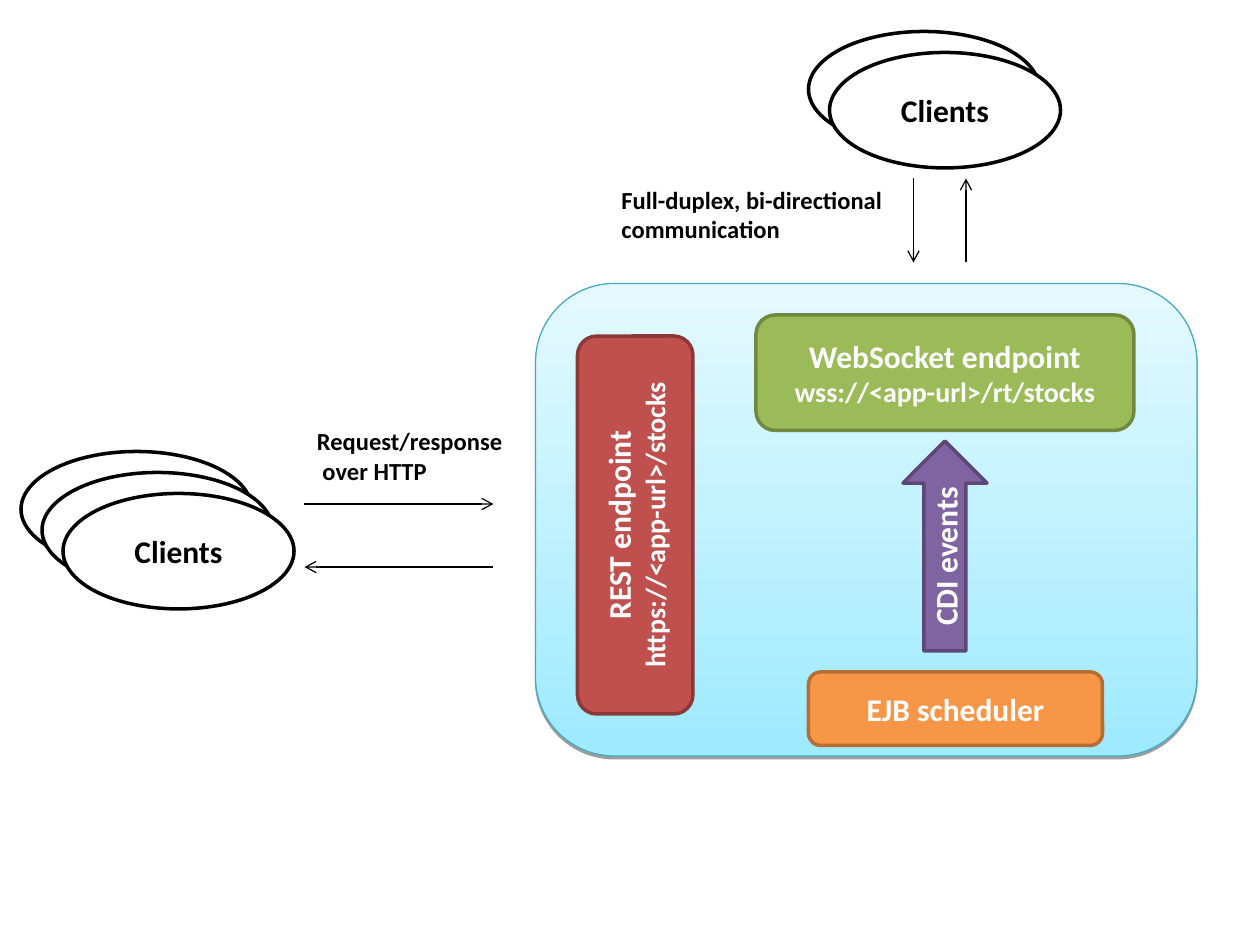
from pptx import Presentation
from pptx.dml.color import RGBColor
from pptx.enum.shapes import MSO_CONNECTOR, MSO_SHAPE
from pptx.enum.text import MSO_ANCHOR, PP_ALIGN
from pptx.oxml import parse_xml
from pptx.oxml.ns import nsdecls, qn
from pptx.util import Inches, Pt

CELL = Inches(1) / 12  # the slide is a grid of 120 columns by 90 rows
BLACK, WHITE = "000000", "FFFFFF"

deck = Presentation()
deck.slide_width, deck.slide_height = Inches(10), Inches(7.5)
slide = deck.slides.add_slide(deck.slide_layouts[6])


def color(value):
    return RGBColor.from_string(value)


def write(holder, *lines, sizes=(18, 16), ink=WHITE, align=PP_ALIGN.CENTER,
          anchor=MSO_ANCHOR.MIDDLE):
    frame = holder.text_frame
    frame.word_wrap = True
    frame.vertical_anchor = anchor
    frame.text = "\n".join(lines)
    for paragraph, size in zip(frame.paragraphs, sizes):
        paragraph.alignment = align
        font = paragraph.font
        font.name, font.size, font.bold = "Calibri", Pt(size), True
        font.color.rgb = color(ink)


# Application server: gradient panel with a thin lower shadow
server = slide.shapes.add_shape(
    MSO_SHAPE.ROUNDED_RECTANGLE, *(round(n * CELL) for n in (51, 27, 63, 45)))
server.fill.gradient()
server.fill.gradient_angle = 90
for stop, shade in zip(server.fill.gradient_stops, ("9EEAFF", "E4F9FF")):
    stop.color.rgb = color(shade)
server.line.color.rgb = color("46AAC5")
server.line.width = Pt(0.75)
server._element.spPr.append(parse_xml(
    f'<a:effectLst {nsdecls("a")}><a:outerShdw blurRad="0" dist="{Pt(1.6)}" '
    'dir="5400000" rotWithShape="0"><a:srgbClr val="000000">'
    '<a:alpha val="38000"/></a:srgbClr></a:outerShdw></a:effectLst>'))

# Server components and client stacks: kind, (column, row, columns, rows),
# rotation, fill, outline, text lines
box, oval = MSO_SHAPE.ROUNDED_RECTANGLE, MSO_SHAPE.OVAL
parts = [
    (box, (77, 64, 28, 7), 0, "F79646", "B66D31", ["EJB scheduler"]),
    (box, (72, 30, 36, 11), 0, "9BBB59", "71893F",
     ["WebSocket endpoint", "wss://<app-url>/rt/stocks"]),
    (box, (42.5, 44.5, 36, 11), 270, "C0504D", "8C3836",
     ["REST endpoint", "https://<app-url>/stocks"]),
    (MSO_SHAPE.RIGHT_ARROW, (80, 48, 20, 8), 270, "8064A2", "5C4776",
     ["CDI events"]),
]
for column, row, count in ((2, 43, 3), (77, 3, 2)):
    for step in range(count):
        front = step == count - 1
        parts.append((oval, (column + 2 * step, row + 2 * step, 22, 11), 0,
                      WHITE, BLACK, ["Clients"] if front else []))

for kind, place, rotation, fill, outline, lines in parts:
    part = slide.shapes.add_shape(kind, *(round(n * CELL) for n in place))
    part.shadow.inherit = False
    part.rotation = rotation
    part.fill.solid()
    part.fill.fore_color.rgb = color(fill)
    part.line.color.rgb = color(outline)
    part.line.width = Pt(2)
    if lines:
        write(part, *lines, ink=BLACK if kind == oval else WHITE)

# Message arrows: HTTP pair, then WebSocket pair
for ends in ((29, 48, 47, 48), (47, 54, 29, 54),
             (87, 17, 87, 25), (92, 25, 92, 17)):
    message = slide.shapes.add_connector(
        MSO_CONNECTOR.STRAIGHT, *(round(n * CELL) for n in ends))
    message.line.color.rgb = color(BLACK)
    message.line.width = Pt(0.75)
    message.line._get_or_add_ln().append(
        parse_xml(f'<a:tailEnd {nsdecls("a")} type="arrow"/>'))
    message._element.spPr.append(
        message._element.makeelement(qn("a:effectLst"), {}))

# Captions of the arrows
for column, row, lines in (
        (29, 40, ["Request/response", " over HTTP"]),
        (58, 17, ["Full-duplex, bi-directional communication"])):
    caption = slide.shapes.add_textbox(
        *(round(n * CELL) for n in (column, row, 32, 6.8)))
    write(caption, *lines, sizes=(14, 14), ink=BLACK, align=PP_ALIGN.LEFT,
          anchor=MSO_ANCHOR.TOP)

deck.save("out.pptx")
